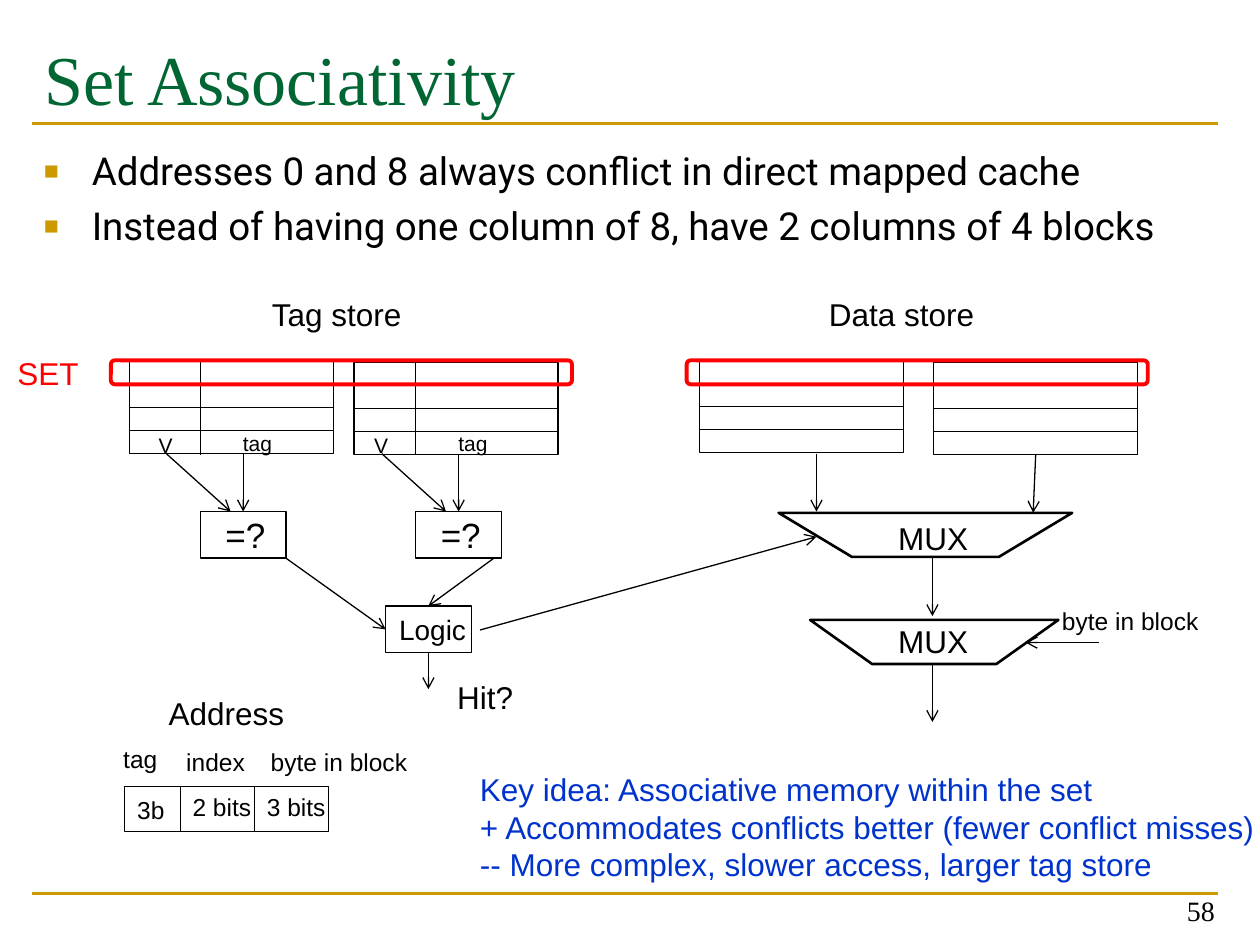
from lxml.etree import SubElement
from pptx import Presentation
from pptx.dml.color import RGBColor
from pptx.enum.shapes import MSO_CONNECTOR, MSO_SHAPE
from pptx.enum.text import MSO_ANCHOR, MSO_AUTO_SIZE, PP_ALIGN
from pptx.oxml.ns import qn
from pptx.util import Inches, Pt

BLACK, GREEN, GOLD, BLUE, RED = "000000", "006633", "CC9900", "0033CC", "FF0000"
TOP, LEFT, BOTTOM = 0, 1, 2

TITLE = "Set Associativity"
BULLETS = [
    "Addresses 0 and 8 always conflict in direct mapped cache",
    "Instead of having one column of 8, have 2 columns of 4 blocks",
]
KEY_IDEA = [
    "Key idea: Associative memory within the set",
    "+ Accommodates conflicts better (fewer conflict misses)",
    "-- More complex, slower access, larger tag store",
]
# text, left, top, width, height, size, colour
LABELS = [
    ("Tag store", 2.06, 2.29, 1.24, 0.4, 18, BLACK),
    ("Data store", 6.48, 2.29, 1.36, 0.4, 18, BLACK),
    ("SET", 0.04, 2.76, 0.69, 0.4, 18, RED),
    ("Logic", 3.07, 4.81, 0.74, 0.37, 16, BLACK),
    ("Hit?", 3.53, 5.33, 0.65, 0.4, 18, BLACK),
    ("MUX", 7.03, 4.07, 0.76, 0.4, 18, BLACK),
    ("MUX", 7.03, 4.89, 0.76, 0.4, 18, BLACK),
    ("byte in block", 8.33, 4.76, 1.29, 0.34, 14, BLACK),
    ("Address", 1.24, 5.46, 1.13, 0.4, 18, BLACK),
    ("tag", 0.88, 5.86, 0.47, 0.34, 14, BLACK),
    ("index", 1.38, 5.88, 0.67, 0.34, 14, BLACK),
    ("byte in block", 2.05, 5.88, 1.29, 0.34, 14, BLACK),
    ("3b", 0.99, 6.26, 0.42, 0.34, 14, BLACK),
    ("2 bits", 1.43, 6.24, 0.67, 0.34, 14, BLACK),
    ("3 bits", 2.02, 6.24, 0.67, 0.34, 14, BLACK),
]
# Same parts for each way of the tag store, one WAY_PITCH apart
WAY_PITCH = 1.71
WAY_LABELS = [
    ("V", 1.16, 3.38, 0.31, 0.3, 12, BLACK),
    ("tag", 1.83, 3.37, 0.44, 0.3, 12, BLACK),
    ("=?", 1.69, 4.03, 0.52, 0.44, 20, BLACK),
]
STORES = [(1.03, 2.87), (2.81, 2.88), (5.55, 2.86), (7.41, 2.88)]
STORE_WIDTH, STORE_HEIGHT, STORE_ROWS = 1.62, 0.73, 4
BOX_WIDTH, BOX_HEIGHT = 0.68, 0.37
SET_LEFTS = [0.88, 5.45]
MUXES = [(6.18, 4.07, 2.33), (6.43, 4.92, 1.97)]
MUX_HEIGHT = 0.35
ARROWS = [
    (6.48, 3.6, 6.48, 4.06),
    (3.81, 5, 6.48, 4.26),
    (7.4, 4.43, 7.4, 4.89),
    (8.72, 5.1, 8.14, 5.1),
    (7.4, 5.27, 7.4, 5.73),
]
RULE_HEIGHTS = [0.98, 7.09]
ADDRESS_DIVIDERS = [1.43, 2.02]


def colour(value):
    return RGBColor.from_string(value)


def style_outline(shape, line_colour, width):
    shape.shadow.inherit = False
    shape.fill.background()
    shape.line.color.rgb = colour(line_colour)
    shape.line.width = Pt(width)


def add_box(slide, left, top, width, height, line_colour=BLACK,
            line_width=0.75, kind=MSO_SHAPE.RECTANGLE):
    shape = slide.shapes.add_shape(kind, *map(Inches, (left, top, width, height)))
    style_outline(shape, line_colour, line_width)
    return shape


def add_line(slide, x1, y1, x2, y2, line_colour=BLACK, width=0.75, arrow=False):
    line = slide.shapes.add_connector(
        MSO_CONNECTOR.STRAIGHT, *map(Inches, (x1, y1, x2, y2)))
    line.line.color.rgb = colour(line_colour)
    line.line.width = Pt(width)
    if arrow:
        SubElement(line.line._get_or_add_ln(), qn("a:tailEnd"), type="arrow")
    SubElement(line._element.spPr, qn("a:effectLst"))
    return line


def add_text(slide, lines, left, top, width, height, size, text_colour,
             font="Arial", wrap=False):
    box = slide.shapes.add_textbox(*map(Inches, (left, top, width, height)))
    frame = box.text_frame
    frame.word_wrap = wrap
    frame.auto_size = MSO_AUTO_SIZE.NONE if wrap else MSO_AUTO_SIZE.SHAPE_TO_FIT_TEXT
    frame.text = "\n".join(lines)
    for paragraph in frame.paragraphs:
        style_font(paragraph, size, text_colour, font)
    return frame


def style_font(paragraph, size, text_colour, font):
    paragraph.font.size = Pt(size)
    paragraph.font.name = font
    paragraph.font.color.rgb = colour(text_colour)


def add_bullet(paragraph):
    properties = paragraph._p.get_or_add_pPr()
    properties.set("marL", str(Inches(0.38)))
    properties.set("indent", str(-Inches(0.38)))
    # Bullet elements come before the default run properties
    default_run = properties.find(qn("a:defRPr"))
    bullet_colour = SubElement(properties, qn("a:buClr"))
    SubElement(bullet_colour, qn("a:srgbClr"), val=GOLD)
    SubElement(properties, qn("a:buSzPct"), val="65000")
    SubElement(properties, qn("a:buFont"), typeface="Arial")
    SubElement(properties, qn("a:buChar"), char="■")
    if default_run is not None:
        properties.append(default_run)


def add_mux(slide, left, top, width):
    """Trapezoid whose lower corners are inset by a quarter of its width."""
    right, bottom, inset = left + width, top + MUX_HEIGHT, width / 4
    corners = [(right, top), (right - inset, bottom), (left + inset, bottom), (left, top)]
    points = [(Inches(x), Inches(y)) for x, y in corners]
    builder = slide.shapes.build_freeform(*points[0])
    builder.add_line_segments(points[1:], close=True)
    style_outline(builder.convert_to_shape(), BLACK, 1.5)


def add_heading(slide):
    for y in RULE_HEIGHTS:
        add_line(slide, 0.25, y, 9.67, y, GOLD, 1.5)
    title = slide.shapes.title
    title.left, title.top, title.width, title.height = map(Inches, (0.25, 0.17, 9.42, 1.17))
    frame = title.text_frame
    frame.text = TITLE
    frame.vertical_anchor = MSO_ANCHOR.TOP
    frame.auto_size = MSO_AUTO_SIZE.NONE
    frame.margin_top = Inches(0.11)
    frame.paragraphs[0].alignment = PP_ALIGN.LEFT
    style_font(frame.paragraphs[0], 40, GREEN, "Times New Roman")

    body = add_text(slide, BULLETS, 0.25, 1.09, 9.42, 5.68, 22, BLACK, "Roboto", wrap=True)
    body.margin_top = Inches(0.08)
    for index, paragraph in enumerate(body.paragraphs):
        add_bullet(paragraph)
        paragraph.space_before = Pt(5 if index else 0)

    number = add_text(slide, ["58"], 7.41, 6.91, 2.33, 0.5, 16, BLACK,
                      "Times New Roman", wrap=True)
    number.vertical_anchor = MSO_ANCHOR.BOTTOM
    number.paragraphs[0].alignment = PP_ALIGN.RIGHT


def add_diagram(slide):
    row_height = STORE_HEIGHT / STORE_ROWS
    for left, top in STORES:
        for row in range(STORE_ROWS):
            last_row = add_box(slide, left, top + row * row_height, STORE_WIDTH, row_height)
    data_arrow = add_line(slide, 8.2, 3.61, 8.2, 4.07, arrow=True)
    data_arrow.begin_connect(last_row, BOTTOM)

    for shift in (0, WAY_PITCH):
        add_line(slide, 1.59 + shift, 2.87, 1.59 + shift, 3.61)
        comparator = add_box(slide, 1.59 + shift, 4.06, BOX_WIDTH, BOX_HEIGHT)
        add_line(slide, 1.32 + shift, 3.6, 1.83 + shift, 4.06, arrow=True)
        tag_arrow = add_line(slide, 1.93 + shift, 3.6, 1.93 + shift, 4.06, arrow=True)
        tag_arrow.end_connect(comparator, TOP)
        for text, left, *rest in WAY_LABELS:
            add_text(slide, [text], left + shift, *rest)

    logic = add_box(slide, 3.06, 4.81, BOX_WIDTH, BOX_HEIGHT)
    add_line(slide, 2.27, 4.43, 3.06, 5, arrow=True).end_connect(logic, LEFT)
    add_line(slide, 3.92, 4.43, 3.4, 4.81, arrow=True).end_connect(logic, TOP)
    add_line(slide, 3.4, 5.18, 3.4, 5.47, arrow=True).begin_connect(logic, BOTTOM)

    for mux in MUXES:
        add_mux(slide, *mux)
    for ends in ARROWS:
        add_line(slide, *ends, arrow=True)

    add_box(slide, 0.99, 6.24, STORE_WIDTH, 0.36)
    for x in ADDRESS_DIVIDERS:
        add_line(slide, x, 6.24, x, 6.6)
    for text, *rest in LABELS:
        add_text(slide, [text], *rest)
    add_text(slide, KEY_IDEA, 3.71, 6.06, 6.41, 1.31, 18, BLUE)
    for left in SET_LEFTS:
        add_box(slide, left, 2.86, 3.66, 0.19, RED, 2.25, MSO_SHAPE.ROUNDED_RECTANGLE)


def main():
    presentation = Presentation()
    presentation.slide_width, presentation.slide_height = Inches(10), Inches(7.5)
    slide = presentation.slides.add_slide(presentation.slide_layouts[5])
    add_heading(slide)
    add_diagram(slide)
    presentation.save("out.pptx")


if __name__ == "__main__":
    main()
